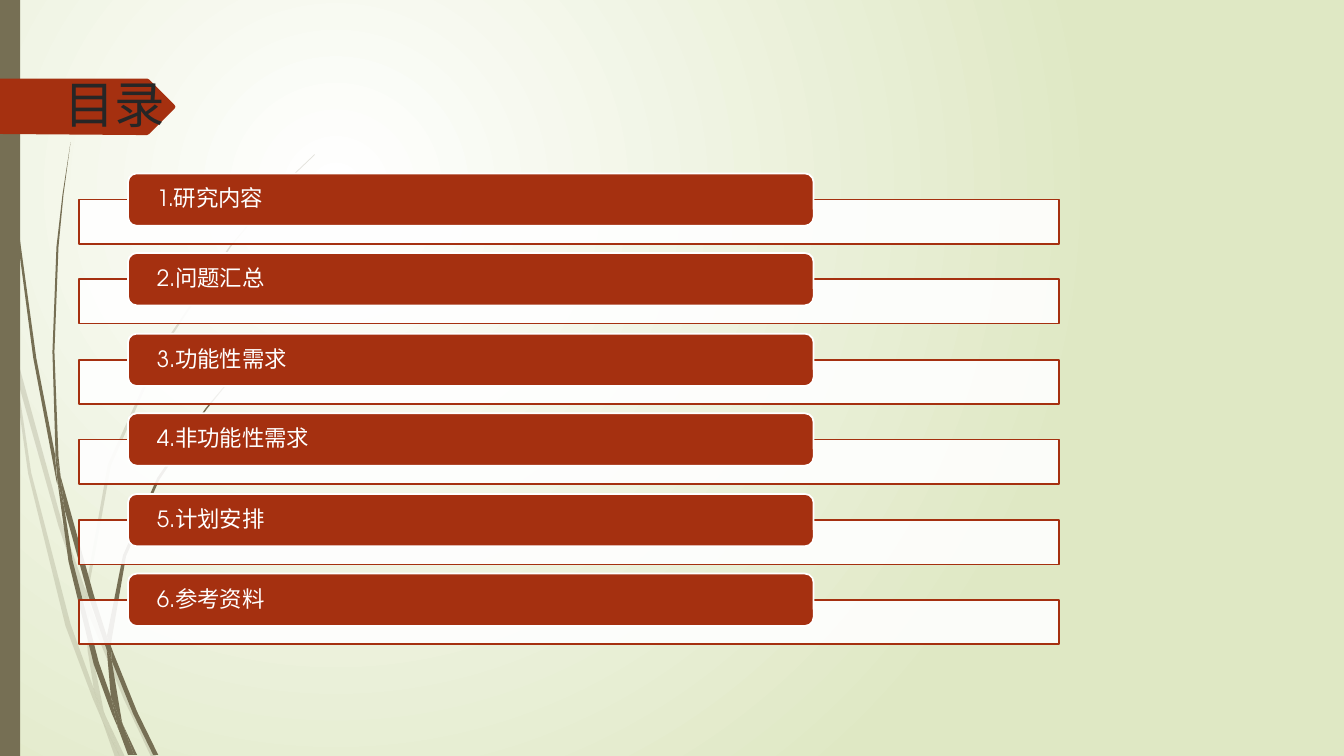
from lxml.etree import SubElement
from pptx import Presentation
from pptx.dml.color import RGBColor
from pptx.enum.shapes import MSO_SHAPE
from pptx.enum.text import MSO_ANCHOR
from pptx.oxml.ns import qn
from pptx.util import Pt

PX = 9144  # one px is a hundredth of an inch
FONT = "TeX Gyre Adventor"
COLORS = {
    "white": "FFFFFF",
    "pale_green": "DFE8C4",
    "olive": "766F54",
    "rust": "A53010",
    "ink": "262626",
}
TOPICS = ["1.研究内容", "2.问题汇总", "3.功能性需求", "4.非功能性需求", "5.计划安排", "6.参考资料"]
ROW_PITCH = 79.4

# Outline points of the grass blades, in px
PALE_BLADES = [
    [(11, 350), (9, 322), (0, 282), (0, 299), (10, 344)],
    [(58, 522), (84, 599), (85, 586), (62, 520), (14, 345), (17, 376)],
    [(92, 607), (88, 596), (88, 610), (123, 694), (150, 751), (155, 751), (127, 692)],
    [(119, 751), (124, 751), (105, 711)],
    [(93, 683), (70, 619), (31, 469), (17, 376), (11, 350), (28, 470), (65, 621),
     (92, 693), (101, 714), (99, 707)],
    [(84, 599), (87, 646), (93, 683), (96, 692), (105, 711), (103, 706), (91, 646),
     (88, 610), (88, 608)],
    [(88, 584), (110, 462), (160, 349), (229, 245), (268, 198), (290, 175), (312, 154),
     (312, 153), (289, 175), (268, 197), (228, 244), (158, 348), (107, 461), (85, 584),
     (85, 586), (88, 596)],
    [(101, 714), (114, 751), (119, 751)],
    [(88, 608), (88, 610), (88, 596), (85, 586), (84, 599)],
    [(96, 692), (93, 683), (99, 707), (101, 714), (119, 751), (105, 711)],
]
DARK_BLADES = [
    [(7, 110), (17, 233), (33, 355), (56, 477), (57, 481), (55, 457), (55, 453),
     (36, 355), (19, 232), (8, 109), (5, 48), (4, 0), (3, 0), (4, 48)],
    [(88, 592), (106, 645), (106, 633), (106, 631), (93, 590), (60, 472), (64, 505)],
    [(113, 649), (110, 641), (111, 656), (132, 708), (152, 749), (157, 749), (136, 706)],
    [(110, 691), (98, 657), (72, 556), (64, 505), (57, 477), (68, 557), (93, 659),
     (111, 708), (117, 722), (116, 717)],
    [(60, 472), (58, 453), (54, 349), (58, 245), (63, 193), (70, 141), (62, 193),
     (56, 245), (52, 349), (55, 449)],
    [(133, 749), (136, 749), (122, 719)],
    [(57, 477), (64, 505), (60, 472), (55, 449), (55, 453)],
    [(111, 633), (125, 552), (158, 476), (205, 406), (231, 374), (245, 359), (261, 344),
     (260, 344), (245, 358), (231, 373), (204, 405), (156, 474), (122, 551), (106, 631),
     (110, 641)],
    [(117, 722), (127, 749), (131, 749)],
    [(106, 645), (110, 691), (116, 706), (122, 719), (121, 716), (111, 656), (109, 651)],
    [(106, 645), (109, 651), (111, 656), (110, 641), (106, 631), (106, 633)],
    [(116, 706), (110, 691), (116, 717), (117, 722), (130, 749), (133, 749), (122, 719)],
]
TITLE_ARROW = [(173, 108), (148, 133), (146, 134), (136, 134), (0, 133), (0, 78),
               (146, 78), (148, 79), (173, 104), (174, 106)]


def color(name):
    return RGBColor.from_string(COLORS[name])


def style_shape(shape, fill, line=None, opacity=100):
    shape.shadow.inherit = False
    shape.fill.solid()
    shape.fill.fore_color.rgb = color(fill)
    if opacity < 100:
        fill_color = shape.element.spPr.find(f"{qn('a:solidFill')}/{qn('a:srgbClr')}")
        SubElement(fill_color, qn("a:alpha"), val=str(opacity * 1000))
    if line:
        shape.line.color.rgb = color(line)
        shape.line.width = Pt(1.25)
    else:
        shape.line.fill.background()


def add_outline(shapes, points, fill, opacity=100):
    builder = shapes.build_freeform(*points[0], scale=PX)
    builder.add_line_segments(points[1:], close=True)
    style_shape(builder.convert_to_shape(), fill, opacity=opacity)


def add_block(page, kind, left, top, width, height, **style):
    block = page.shapes.add_shape(kind, left * PX, top * PX, width * PX, height * PX)
    style_shape(block, **style)
    return block


def write_text(box, text, size, ink, line_spacing=None):
    para = box.text_frame.paragraphs[0]
    para.line_spacing = line_spacing
    span = para.add_run()
    span.text = text
    span.font.size = Pt(size)
    span.font.name = FONT
    span.font.color.rgb = color(ink)
    return para


def paint_background(page):
    """Fill the page with a circular gradient centred in its upper left."""
    fill = page.background.fill
    fill.gradient()
    for stop, name in zip(fill.gradient_stops, ("white", "pale_green")):
        stop.color.rgb = color(name)
    gradient = page.element.find(f".//{qn('a:gradFill')}")
    gradient.remove(gradient.find(qn("a:lin")))
    circle = SubElement(gradient, qn("a:path"), path="circle")
    SubElement(circle, qn("a:fillToRect"), l="50000", t="50000", r="100000", b="100000")


def add_blades(page, blades, opacity):
    group = page.shapes.add_group_shape()
    for points in blades:
        add_outline(group.shapes, points, "olive", opacity)


def add_title(page, text):
    add_outline(page.shapes, TITLE_ARROW, "rust")
    box = page.shapes.add_textbox(54 * PX, 68 * PX, 921 * PX, 140 * PX)
    box.text_frame.word_wrap = True
    write_text(box, text, size=36, ink="ink")


def add_topic(page, index, text):
    """Add one row: a white strip with a labelled bar over its upper edge."""
    offset = round(index * ROW_PITCH)
    add_block(page, MSO_SHAPE.RECTANGLE, 78, 198 + offset, 972, 44,
              fill="white", line="rust", opacity=90)
    bar = add_block(page, MSO_SHAPE.ROUNDED_RECTANGLE, 127, 172 + offset, 680, 52,
                    fill="rust", line="white")
    frame = bar.text_frame
    frame.word_wrap = True
    frame.vertical_anchor = MSO_ANCHOR.MIDDLE
    frame.margin_left = frame.margin_right = 26 * PX
    frame.margin_top = frame.margin_bottom = 0
    para = write_text(bar, text, size=16, ink="white", line_spacing=0.9)
    para.alignment = 1


def main():
    deck = Presentation()
    deck.slide_width, deck.slide_height = 1333 * PX, 750 * PX
    page = deck.slides.add_slide(deck.slide_layouts[6])
    paint_background(page)
    add_blades(page, PALE_BLADES, opacity=20)
    add_blades(page, DARK_BLADES, opacity=100)
    add_block(page, MSO_SHAPE.RECTANGLE, 0, 0, 20, 750, fill="olive")
    add_title(page, "目录")
    for index, topic in enumerate(TOPICS):
        add_topic(page, index, topic)
    deck.save("out.pptx")


if __name__ == "__main__":
    main()
